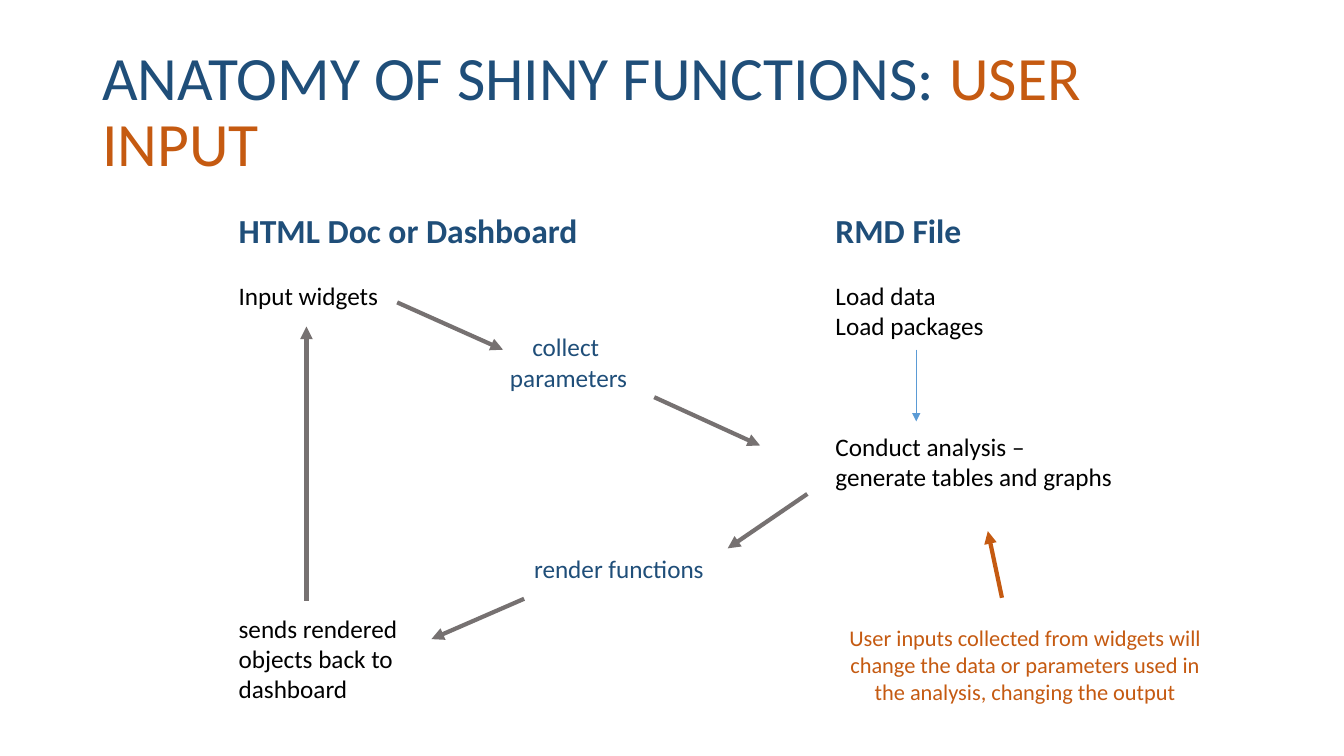
"""Build a slide on how user input flows through Shiny functions."""
from lxml import etree
from pptx import Presentation
from pptx.dml.color import RGBColor
from pptx.enum.shapes import MSO_CONNECTOR
from pptx.enum.text import MSO_ANCHOR, MSO_AUTO_SIZE, PP_ALIGN
from pptx.oxml.ns import qn
from pptx.util import Pt

STRAIGHT = MSO_CONNECTOR.STRAIGHT
LEFT, CENTER = PP_ALIGN.LEFT, PP_ALIGN.CENTER
MIDDLE = MSO_ANCHOR.MIDDLE
FIT_SHAPE = MSO_AUTO_SIZE.SHAPE_TO_FIT_TEXT
NAVY, ORANGE, GRAY, BLUE, BLACK = "1F4E79", "C55A11", "767171", "5B9BD5", "000000"
LINE = 21.6


def color(value):
    return RGBColor.from_string(value)


def add_text(left, top, width, height, rows, align=LEFT):
    box = page.shapes.add_textbox(Pt(left), Pt(top), Pt(width), Pt(height))
    frame = box.text_frame
    frame.word_wrap = True
    frame.auto_size = FIT_SHAPE
    for index, (text, size, fill, bold, gap) in enumerate(rows):
        para = frame.add_paragraph() if index else frame.paragraphs[0]
        para.text = text
        para.alignment = align
        para.space_before = Pt(gap * LINE)
        para.font.name = "Calibri"
        para.font.size = Pt(size)
        para.font.bold = bold
        para.font.color.rgb = color(fill)


deck = Presentation()
deck.slide_width, deck.slide_height = Pt(960), Pt(540)
page = deck.slides.add_slide(deck.slide_layouts[6])

title = page.shapes.add_textbox(Pt(66), Pt(28.75), Pt(828), Pt(104.4))
title.text_frame.word_wrap = True
title.text_frame.vertical_anchor = MIDDLE
para = title.text_frame.paragraphs[0]
para.line_spacing = 0.9
para.font.name = "Calibri"
para.font.size = Pt(44)
for text, fill in [("ANATOMY OF SHINY FUNCTIONS: ", NAVY), ("USER INPUT", ORANGE)]:
    span = para.add_run()
    span.text = text
    span.font.color.rgb = color(fill)

add_text(163.4, 146.2, 282, 363.6, [
    ("HTML Doc or Dashboard", 24, NAVY, True, 0),
    ("Input widgets", 18, BLACK, False, 1),
    ("sends rendered\vobjects back to \vdashboard", 18, BLACK, False, 10),
])
add_text(589.7, 146.2, 240, 211, [
    ("RMD File", 24, NAVY, True, 0),
    ("Load data", 18, BLACK, False, 1),
    ("Load packages", 18, BLACK, False, 0),
    ("Conduct analysis – \vgenerate tables and graphs", 18, BLACK, False, 3),
])
add_text(315.4, 233.3, 181.4, 51, [
    ("collect ", 18, NAVY, False, 0),
    ("parameters", 18, NAVY, False, 0),
], CENTER)
add_text(351.4, 391.7, 181.4, 29, [("render functions", 18, NAVY, False, 0)], CENTER)
add_text(597.6, 442.1, 269.3, 65.5, [
    ("User inputs collected from widgets will change the data or parameters "
     "used in the analysis, changing the output", 16, ORANGE, False, 0),
], CENTER)

arrows = [
    (654.5, 249.8, 654.5, 301, BLUE, 0.5),
    (283.7, 216, 359.3, 249.8, GRAY, 3),
    (467.3, 283.7, 542.9, 318.2, GRAY, 3),
    (576.7, 352.8, 519.8, 391.7, GRAY, 3),
    (374.4, 427.7, 308.2, 456.5, GRAY, 3),
    (218.9, 429.1, 218.9, 233.3, GRAY, 3),
    (715.7, 427, 705.6, 379.4, ORANGE, 3),
]
for x1, y1, x2, y2, fill, weight in arrows:
    arrow = page.shapes.add_connector(STRAIGHT, Pt(x1), Pt(y1), Pt(x2), Pt(y2))
    arrow.line.color.rgb = color(fill)
    arrow.line.width = Pt(weight)
    etree.SubElement(arrow.line._get_or_add_ln(), qn("a:tailEnd"), type="triangle")
    etree.SubElement(arrow._element.spPr, qn("a:effectLst"))

deck.save("out.pptx")
